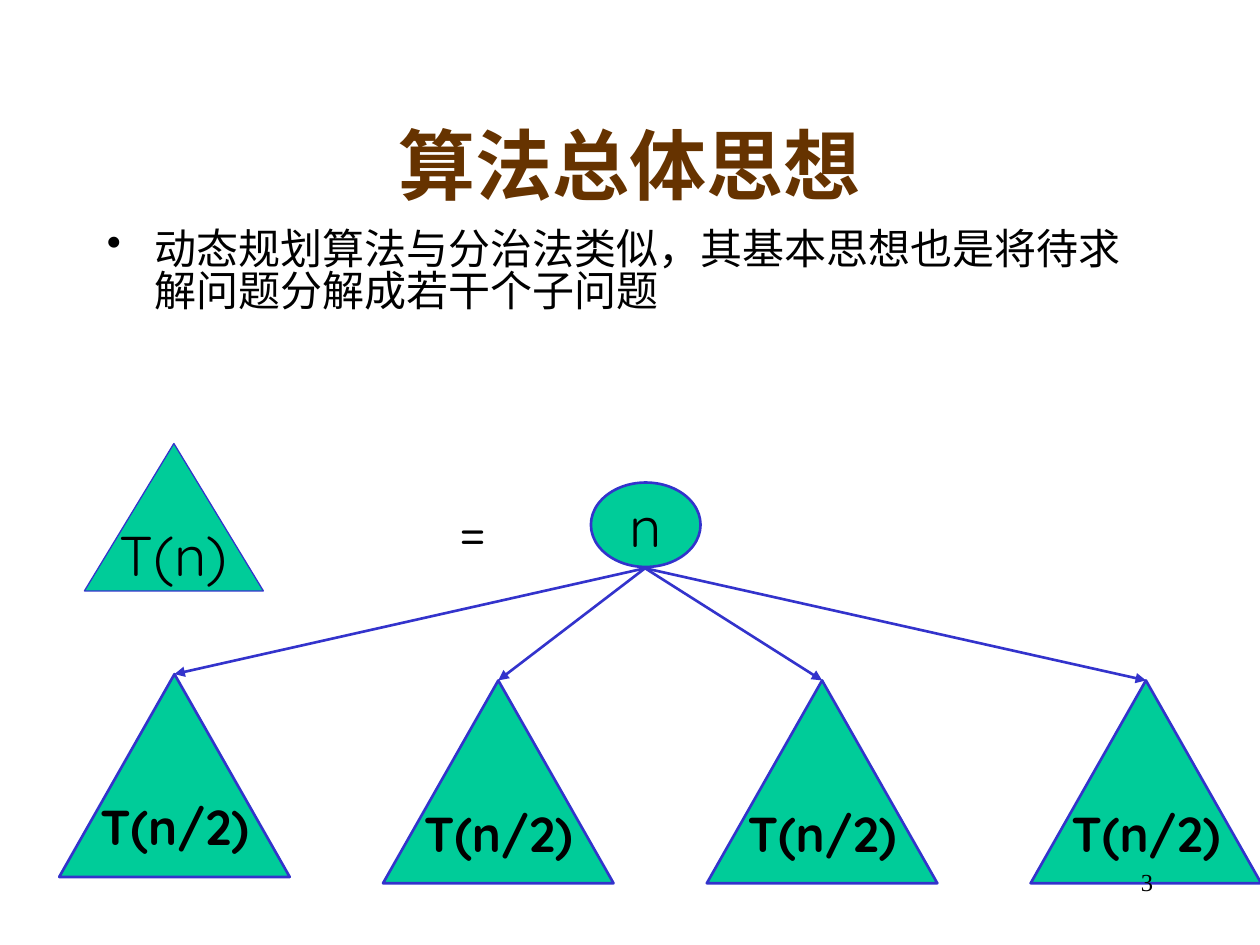
import pptx
import pptx.dml.color
import pptx.enum.shapes
import pptx.enum.text
import pptx.oxml
import pptx.oxml.ns
import pptx.util

Inches = pptx.util.Inches
Pt = pptx.util.Pt
Shapes = pptx.enum.shapes.MSO_SHAPE
Align = pptx.enum.text.PP_ALIGN
Anchor = pptx.enum.text.MSO_ANCHOR

BLACK = pptx.dml.color.RGBColor(0x00, 0x00, 0x00)
BROWN = pptx.dml.color.RGBColor(0x66, 0x33, 0x00)
GREEN = pptx.dml.color.RGBColor(0x00, 0xCC, 0x99)
BLUE = pptx.dml.color.RGBColor(0x33, 0x33, 0xCC)
CJK_FONT = "Noto Sans CJK SC"

TITLE = {"name": "Times New Roman", "size": Pt(44), "bold": True}
BODY = {"name": CJK_FONT, "size": Pt(24)}
LABEL = {"name": "Quicksand", "size": Pt(32)}
SUBPROBLEM = {"name": "Quicksand", "size": Pt(28), "bold": True}
NUMBER = {"name": "Times New Roman", "size": Pt(14)}

ROOT_BOTTOM = (5.12, 4.51)
SUBPROBLEM_TOPS = [5.35, 5.4, 5.4, 5.4]
SUBPROBLEM_LEFT = 0.47
SUBPROBLEM_STEP = 2.57


def add_xml(parent, tag, **attributes):
    element = pptx.oxml.parse_xml(f"<a:{tag} {pptx.oxml.ns.nsdecls('a')}/>")
    for name, value in attributes.items():
        element.set(name, value)
    parent.append(element)


def write_text(box, text, font, color=BLACK, **paragraph_format):
    para = box.text_frame.paragraphs[0]
    for name, value in paragraph_format.items():
        setattr(para, name, value)
    span = para.add_run()
    span.text = text
    for name, value in font.items():
        setattr(span.font, name, value)
    span.font.color.rgb = color
    add_xml(span.font._element, "ea", typeface=CJK_FONT)
    return para


def add_text(page, place, text, font, color=BLACK, anchor=Anchor.TOP, **paragraph_format):
    box = page.shapes.add_textbox(*map(Inches, place))
    box.text_frame.word_wrap = True
    box.text_frame.vertical_anchor = anchor
    return write_text(box, text, font, color, **paragraph_format)


def add_bullet(para):
    properties = para._p.get_or_add_pPr()
    properties.set("marL", str(Inches(0.38)))
    properties.set("indent", str(-Inches(0.38)))
    add_xml(properties, "buChar", char="•")


def add_node(page, kind, place, text, font, line_width=1.5):
    node = page.shapes.add_shape(kind, *map(Inches, place))
    node.shadow.inherit = False
    node.fill.solid()
    node.fill.fore_color.rgb = GREEN
    node.line.color.rgb = BLUE
    node.line.width = Pt(line_width)
    node.text_frame.word_wrap = False
    node.text_frame.vertical_anchor = Anchor.MIDDLE
    write_text(node, text, font, alignment=Align.CENTER)
    return node


def add_arrow(page, start, target):
    arrow = page.shapes.add_connector(
        pptx.enum.shapes.MSO_CONNECTOR.STRAIGHT, *map(Inches, start + start)
    )
    arrow.end_connect(target, 0)
    arrow.line.color.rgb = BLUE
    arrow.line.width = Pt(1.5)
    add_xml(arrow.line._get_or_add_ln(), "tailEnd", type="triangle")
    add_xml(arrow._element.spPr, "effectLst")


def add_recursion_tree(page):
    add_node(page, Shapes.OVAL, (4.69, 3.83, 0.87, 0.67), "n", LABEL)
    for index, top in enumerate(SUBPROBLEM_TOPS):
        left = SUBPROBLEM_LEFT + index * SUBPROBLEM_STEP
        triangle = add_node(
            page, Shapes.ISOSCELES_TRIANGLE, (left, top, 1.83, 1.61), "T(n/2)", SUBPROBLEM
        )
        add_arrow(page, ROOT_BOTTOM, triangle)


def main():
    deck = pptx.Presentation()
    deck.slide_width = Inches(10)
    deck.slide_height = Inches(7.5)
    page = deck.slides.add_slide(deck.slide_layouts[6])

    add_text(page, (0.75, 0.67, 8.5, 1.25), "算法总体思想", TITLE, BROWN,
             Anchor.MIDDLE, alignment=Align.CENTER)
    body = add_text(page, (0.75, 1.78, 8.5, 4.5),
                    "动态规划算法与分治法类似，其基本思想也是将待求解问题分解成若干个子问题",
                    BODY, space_before=Pt(6), line_spacing=0.84)
    add_bullet(body)

    add_recursion_tree(page)
    add_node(page, Shapes.ISOSCELES_TRIANGLE, (0.67, 3.52, 1.42, 1.17), "T(n)", LABEL, 0.75)
    add_text(page, (3.17, 3.88, 1.17, 0.64), "=", LABEL,
             alignment=Align.CENTER, space_before=Pt(20))
    add_text(page, (7.17, 6.83, 2.08, 0.5), "3", NUMBER, alignment=Align.RIGHT)

    deck.save("out.pptx")


if __name__ == "__main__":
    main()
